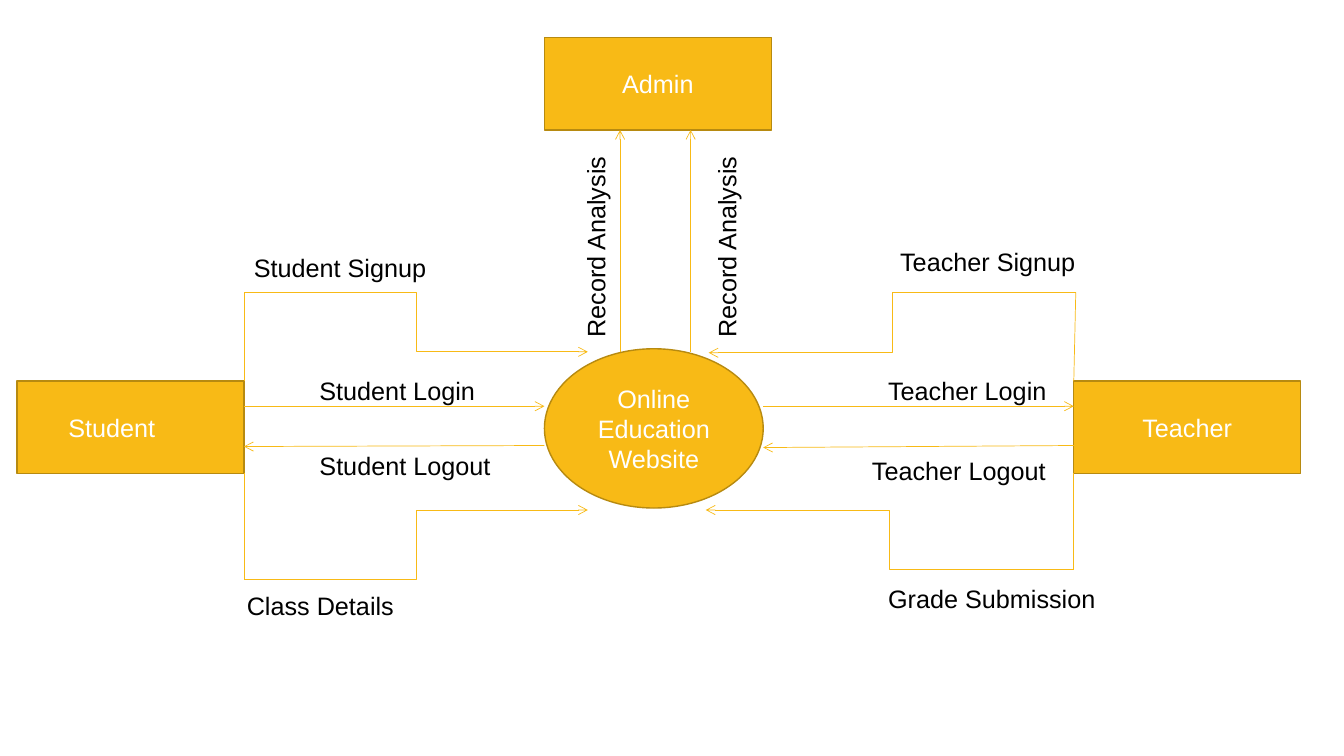
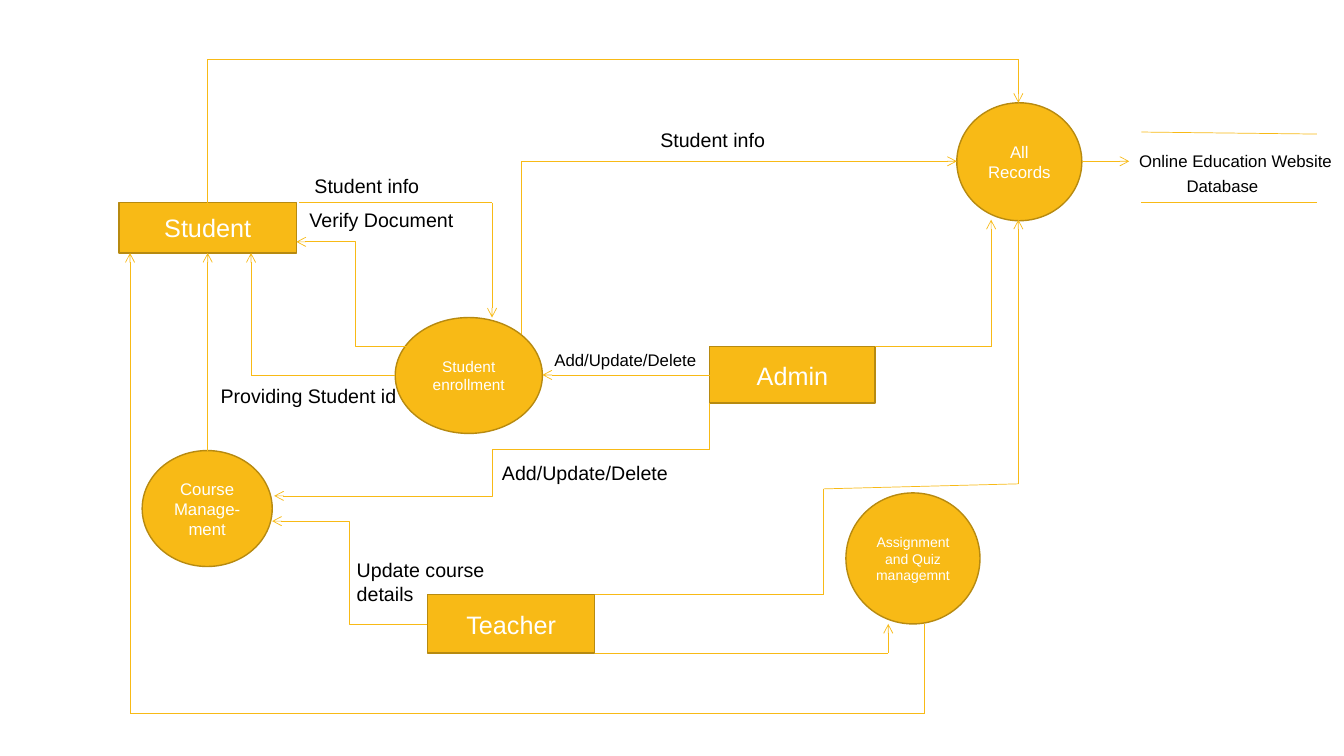
from dataclasses import dataclass
from itertools import pairwise

from lxml.etree import SubElement
from pptx import Presentation
from pptx.dml.color import RGBColor as RGB
from pptx.enum.shapes import MSO_CONNECTOR as LINK, MSO_SHAPE as SHAPE
from pptx.enum.text import MSO_ANCHOR as ANCHOR, PP_ALIGN as ALIGN
from pptx.oxml.ns import qn
from pptx.util import Pt

PX = 9144  # EMU, 100 px to the inch
SLIDE_W, SLIDE_H = 1333, 750


@dataclass(frozen=True)
class Theme:
    font: str = "Arial"
    fill: RGB = RGB(0xF8, 0xBA, 0x16)
    outline: RGB = RGB(0xB7, 0x8A, 0x10)
    on_fill: RGB = RGB(0xFF, 0xFF, 0xFF)
    text: RGB = RGB(0, 0, 0)
    outline_pt: float = 1
    flow_pt: float = 0.5
    large: int = 18
    medium: int = 14
    small: int = 12
    note: int = 11
    tiny: int = 10


THEME = Theme()
LABEL_H = {THEME.large: 40, THEME.medium: 34, THEME.small: 30}


def write(tf, text, size, color, align):
    tf.text = text
    for p in tf.paragraphs:
        p.alignment = align
        for r in p.runs:
            r.font.name = THEME.font
            r.font.size = Pt(size)
            r.font.color.rgb = color


class Diagram:
    """Nodes, flows and labels placed relative to a box on a slide."""

    def __init__(self, slide, box):
        self.shapes = slide.shapes
        self.left, self.top = box[:2]
        self.sites = {}

    def at(self, x, y):
        return (self.left + x) * PX, (self.top + y) * PX

    def node(self, kind, text, box, size=THEME.large, right_inset=10):
        x, y, w, h = box
        sp = self.shapes.add_shape(kind, *self.at(x, y), w * PX, h * PX)
        sp.shadow.inherit = False
        sp.fill.solid()
        sp.fill.fore_color.rgb = THEME.fill
        sp.line.color.rgb = THEME.outline
        sp.line.width = Pt(THEME.outline_pt)
        tf = sp.text_frame
        tf.word_wrap = True
        tf.vertical_anchor = ANCHOR.MIDDLE
        tf.margin_right = right_inset * PX
        write(tf, text, size, THEME.on_fill, ALIGN.CENTER)
        return sp

    def entity(self, text, box, right_inset=10):
        """Rectangle whose side middles are offered to straight flows."""
        sp = self.node(SHAPE.RECTANGLE, text, box, right_inset=right_inset)
        x, y, w, h = box
        mid_x, mid_y = x + w / 2, y + h / 2
        sides = (mid_x, y), (x, mid_y), (mid_x, y + h), (x + w, mid_y)
        self.sites.update({side: (sp, i) for i, side in enumerate(sides)})

    def process(self, text, box, size=THEME.large):
        self.node(SHAPE.OVAL, text, box, size)

    def link(self, start, end, arrow=True, kind=LINK.STRAIGHT):
        c = self.shapes.add_connector(kind, *self.at(*start), *self.at(*end))
        c.line.color.rgb = THEME.fill
        c.line.width = Pt(THEME.flow_pt)
        sp_pr = c._element.spPr
        if arrow:
            SubElement(sp_pr.find(qn("a:ln")), qn("a:tailEnd"), type="arrow")
        SubElement(sp_pr, qn("a:effectLst"))
        if kind == LINK.STRAIGHT:
            if start in self.sites:
                c.begin_connect(*self.sites[start])
            if end in self.sites:
                c.end_connect(*self.sites[end])

    def elbow(self, start, end):
        self.link(start, end, kind=LINK.ELBOW)

    def route(self, *points, arrow=True):
        """Straight pieces through the points, with the arrow on the last."""
        for start, end in pairwise(points):
            self.link(start, end, arrow and end == points[-1])

    def label(self, text, x, y, w, size=THEME.large, rotation=0):
        h = LABEL_H[size] + 23 * text.count("\n")
        sp = self.shapes.add_textbox(*self.at(x, y), w * PX, h * PX)
        sp.rotation = rotation
        sp.text_frame.word_wrap = False
        write(sp.text_frame, text, size, THEME.text, ALIGN.LEFT)


def context_diagram(slide, box):
    d = Diagram(slide, box)
    d.process("Online Education\nWebsite", (540, 346, 217, 158))
    d.entity("Admin", (540, 37, 225, 92))
    d.entity("Student", (17, 378, 225, 92), right_inset=47)
    d.entity("Teacher", (1065, 378, 225, 92))

    for x, label_x in ((615, 490), (685, 620)):
        d.route((x, 349), (x, 129))
        d.label("Record Analysis", label_x, 224, 201, rotation=270)

    for start, end in (
        ((242, 403), (540, 403)),
        ((540, 442), (242, 443)),
        ((757, 403), (1065, 403)),
        ((1065, 442), (757, 444)),
    ):
        d.link(start, end)

    for side, corner, end in (
        ((242, 378), (242, 290), (583, 349)),
        ((242, 469), (242, 575), (583, 506)),
        ((1065, 378), (1067, 290), (703, 350)),
        ((1065, 469), (1065, 565), (700, 506)),
    ):
        d.link(side, corner, arrow=False)
        d.elbow(corner, end)

    for text, x, y, w in (
        ("Student Signup", 242, 245, 193),
        ("Student Login", 307, 367, 176),
        ("Student Logout", 307, 442, 191),
        ("Class Details", 235, 581, 167),
        ("Teacher Signup", 883, 239, 196),
        ("Teacher Login", 871, 367, 179),
        ("Teacher Logout", 855, 447, 194),
        ("Grade Submission", 871, 574, 228),
    ):
        d.label(text, x, y, w)


def data_store(d, x, y, w):
    """Two-line database name between an upper and a lower rule."""
    d.link((x, y), (x + w, y + 2), arrow=False)
    d.link((x, y + 70), (x + w, y + 70), arrow=False)
    d.label("Online Education Website", x - 12, y + 14, 213, THEME.small)
    d.label("Database", x + 35, y + 38, 92, THEME.small)


def data_flow_diagram(slide, box):
    d = Diagram(slide, box)
    d.entity("Student", (118, 201, 176, 50))
    d.entity("Teacher", (424, 590, 166, 58))
    d.entity("Admin", (704, 344, 164, 56))
    d.process("Student enrollment", (392, 315, 146, 115), THEME.note)
    d.process("Course Manage-ment", (141, 447, 129, 115), THEME.small)
    d.process("All Records", (949, 102, 124, 117), THEME.small)
    d.process("Assignment and Quiz managemnt", (839, 489, 133, 130), THEME.tiny)

    for start, end in (
        ((411, 344), (294, 240)),
        ((424, 619), (270, 517)),
        ((704, 446), (272, 492)),
    ):
        d.elbow(start, end)
    d.link((704, 446), (704, 400), arrow=False)

    for points in (
        ((704, 372), (538, 372)),
        ((206, 447), (206, 251)),
        ((392, 372), (249, 372), (249, 251)),
        ((297, 201), (488, 201), (488, 315)),
        ((517, 331), (517, 160), (949, 160)),
        ((917, 619), (917, 708), (129, 708), (129, 251)),
        ((590, 648), (881, 648), (881, 619)),
        ((590, 590), (817, 590), (817, 485), (1010, 480), (1010, 218)),
        ((868, 344), (983, 344), (983, 218)),
        ((1073, 160), (1120, 160)),
        ((206, 201), (206, 59), (1010, 59), (1010, 102)),
    ):
        d.route(*points)

    for text, x, y, w, size in (
        ("Student info", 302, 168, 125, THEME.medium),
        ("Verify Document", 297, 201, 164, THEME.medium),
        ("Providing Student id", 209, 376, 196, THEME.medium),
        ("Student info", 645, 122, 125, THEME.medium),
        ("Add/Update/Delete", 540, 342, 162, THEME.small),
        ("Add/Update/Delete", 488, 452, 185, THEME.medium),
        ("Update course\ndetails", 344, 549, 153, THEME.medium),
    ):
        d.label(text, x, y, w, size)

    data_store(d, 1132, 131, 174)


def main():
    prs = Presentation()
    prs.slide_width, prs.slide_height = SLIDE_W * PX, SLIDE_H * PX
    for build in (context_diagram, data_flow_diagram):
        slide = prs.slides.add_slide(prs.slide_layouts[6])
        build(slide, (0, 0, SLIDE_W, SLIDE_H))
    prs.save("out.pptx")


if __name__ == "__main__":
    main()
